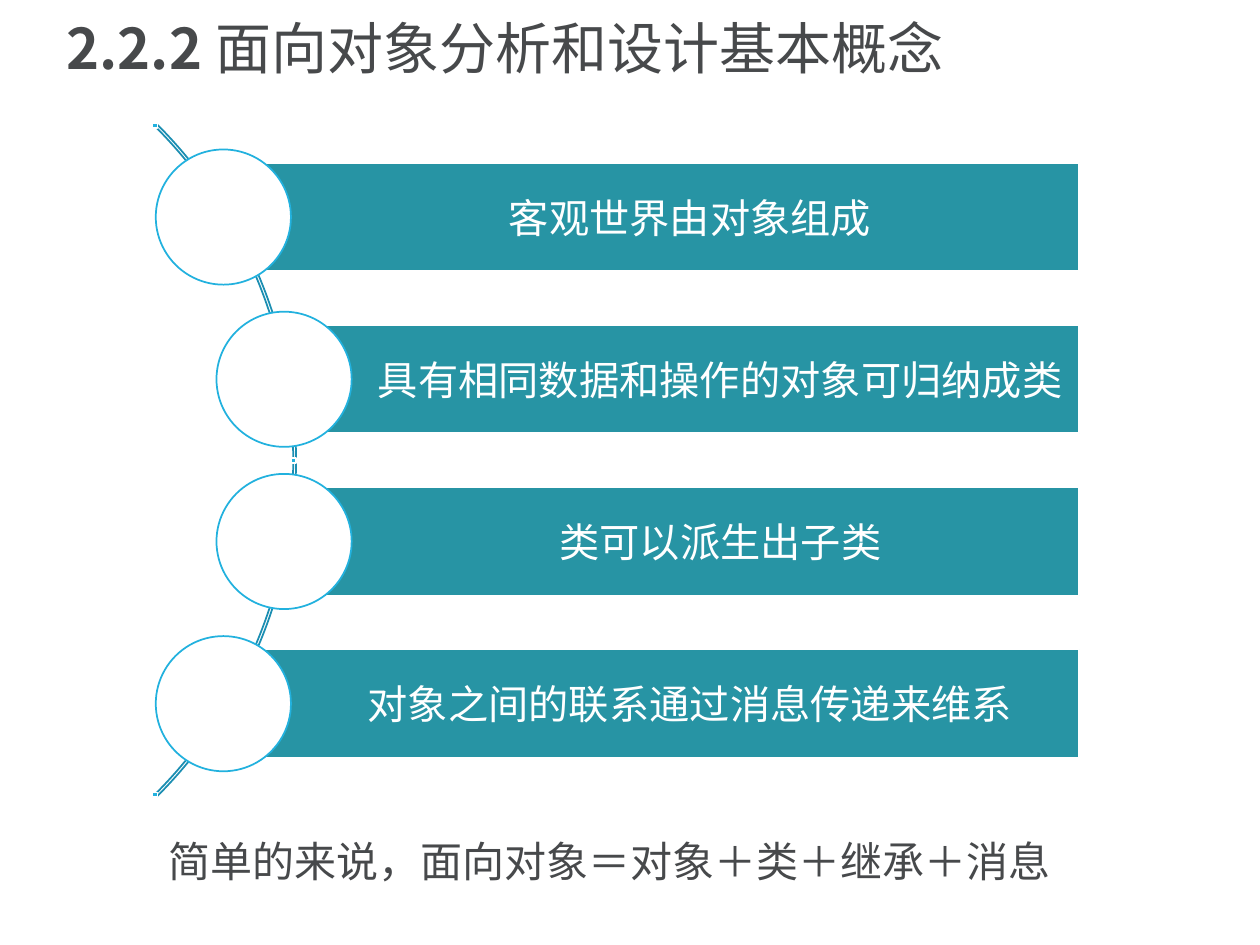
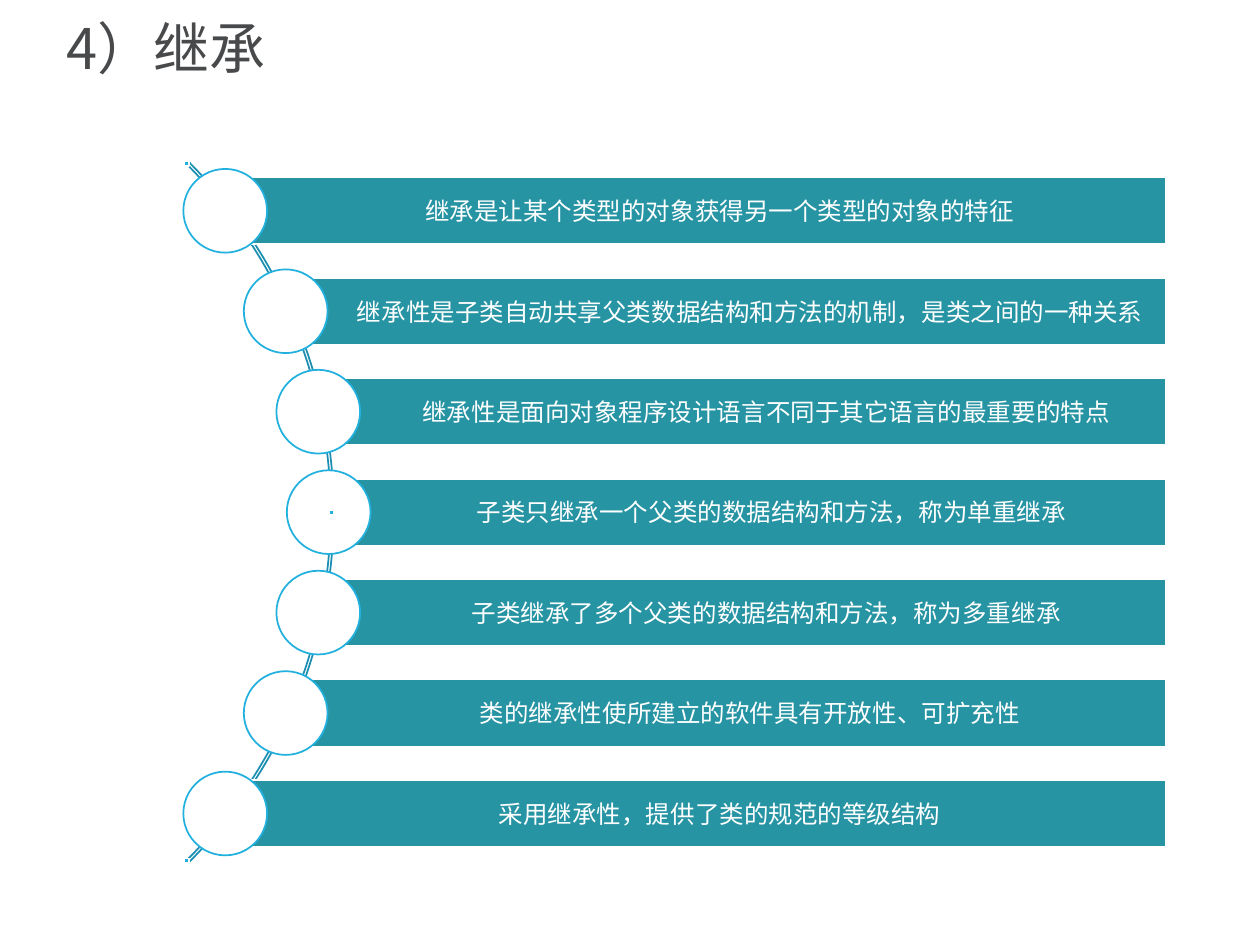
from math import sqrt

from pptx import Presentation
from pptx.dml.color import RGBColor
from pptx.enum.shapes import MSO_SHAPE
from pptx.enum.text import MSO_ANCHOR, MSO_AUTO_SIZE, PP_ALIGN
from pptx.util import Cm, Pt

COLORS = {
    "text": "47494B",
    "bar": "2794A4",
    "arc": "1B8EB2",
    "accent": "22B1DE",
    "white": "FFFFFF",
}
TITLE_FONT = "Noto Sans CJK SC"
CAPTION_FONT = "DejaVu Sans"
BAR_FONT = "Calibri"
TITLE_BOX = (1.09, 0.15, 22.99, 1.78)
MARKER_SIZE = 0.1


def color(name):
    """Return the named colour."""
    return RGBColor.from_string(COLORS[name])


def set_font(paragraph, name, size, color_name):
    """Set the typeface, size and colour of a whole paragraph."""
    paragraph.font.name = name
    paragraph.font.size = Pt(size)
    paragraph.font.color.rgb = color(color_name)


def add_centred_shape(slide, kind, centre_x, centre_y, width, height, fill, line):
    """Add a flat preset shape around a centre point; fill None leaves it open."""
    shape = slide.shapes.add_shape(
        kind, Cm(centre_x - width / 2), Cm(centre_y - height / 2), Cm(width), Cm(height)
    )
    shape.shadow.inherit = False
    if fill:
        shape.fill.solid()
        shape.fill.fore_color.rgb = color(fill)
    else:
        shape.fill.background()
    shape.line.color.rgb = color(line)
    shape.line.width = Pt(1)
    return shape


def add_title_slide(presentation, title_runs):
    """Add a title-only slide; title_runs holds (text, bold) pairs."""
    slide = presentation.slides.add_slide(presentation.slide_layouts[5])
    title = slide.shapes.title
    title.left, title.top, title.width, title.height = map(Cm, TITLE_BOX)
    frame = title.text_frame
    frame.auto_size = MSO_AUTO_SIZE.NONE
    frame.vertical_anchor = MSO_ANCHOR.MIDDLE
    paragraph = frame.paragraphs[0]
    paragraph.alignment = PP_ALIGN.LEFT
    paragraph.line_spacing = 0.9
    set_font(paragraph, TITLE_FONT, 32, "text")
    for text, bold in title_runs:
        run = paragraph.add_run()
        run.text = text
        run.font.bold = bold
    return slide


def add_bar(slide, left, right, centre_y, height, text, size):
    """Add one bar with centred text that clears the circle at its left end."""
    bar = add_centred_shape(
        slide, MSO_SHAPE.RECTANGLE, (left + right) / 2, centre_y,
        right - left, height, "bar", "white",
    )
    frame = bar.text_frame
    frame.word_wrap = True
    frame.vertical_anchor = MSO_ANCHOR.MIDDLE
    frame.margin_left = Cm(0.79 * height)
    frame.margin_top = frame.margin_right = frame.margin_bottom = Cm(0.07 * height)
    paragraph = frame.paragraphs[0]
    paragraph.text = text
    paragraph.alignment = PP_ALIGN.CENTER
    set_font(paragraph, BAR_FONT, size, "white")


def add_curved_list(slide, box, bar_height, size, items):
    """Add bars whose circles follow a quarter arc spanning the box height."""
    left, top, width, height = box
    radius = height / sqrt(2)
    centre_x, centre_y = left - height / 2, top + height / 2
    arc = add_centred_shape(
        slide, MSO_SHAPE.BLOCK_ARC, centre_x, centre_y,
        2 * radius, 2 * radius, None, "arc",
    )
    for index, value in enumerate((189, 27, 0.003)):
        arc.adjustments[index] = value

    circle_size = 1.25 * bar_height
    for index, text in enumerate(items):
        offset = (index - (len(items) - 1) / 2) * 1.5 * bar_height
        bar_left = centre_x + sqrt((radius - 0.1) ** 2 - offset ** 2)
        bar_y = centre_y + offset
        add_bar(slide, bar_left, left + width, bar_y, bar_height, text, size)
        add_centred_shape(
            slide, MSO_SHAPE.OVAL, bar_left, bar_y,
            circle_size, circle_size, "white", "accent",
        )

    marker_radius = radius - MARKER_SIZE / 2
    for direction in (-1, 0, 1):
        offset = direction * marker_radius / sqrt(2)
        add_centred_shape(
            slide, MSO_SHAPE.RECTANGLE,
            centre_x + sqrt(marker_radius ** 2 - offset ** 2), centre_y + offset,
            MARKER_SIZE, MARKER_SIZE, "accent", "white",
        )


def add_caption(slide, box, text):
    """Add the summary line below the list."""
    frame = slide.shapes.add_textbox(*map(Cm, box)).text_frame
    frame.word_wrap = True
    paragraph = frame.paragraphs[0]
    paragraph.text = text
    set_font(paragraph, CAPTION_FONT, 24, "text")


def build_concepts_slide(presentation):
    """Build the slide on the basic concepts."""
    slide = add_title_slide(
        presentation, [("2.2.2 ", True), ("面向对象分析和设计基本概念", False)]
    )
    add_caption(
        slide, (3.15, 16.71, 18.87, 1.27), "简单的来说，面向对象＝对象＋类＋继承＋消息"
    )
    add_curved_list(slide, (3.16, 2.5, 18.6, 13.56), 2.18, 23, [
        "客观世界由对象组成",
        "具有相同数据和操作的对象可归纳成类",
        "类可以派生出子类",
        "对象之间的联系通过消息传递来维系",
    ])


def build_inheritance_slide(presentation):
    """Build the slide on inheritance."""
    slide = add_title_slide(presentation, [("4）继承", False)])
    add_curved_list(slide, (3.8, 3.26, 19.71, 14.13), 1.35, 14, [
        "继承是让某个类型的对象获得另一个类型的对象的特征",
        "继承性是子类自动共享父类数据结构和方法的机制，是类之间的一种关系",
        "继承性是面向对象程序设计语言不同于其它语言的最重要的特点",
        "子类只继承一个父类的数据结构和方法，称为单重继承",
        "子类继承了多个父类的数据结构和方法，称为多重继承",
        "类的继承性使所建立的软件具有开放性、可扩充性",
        "采用继承性，提供了类的规范的等级结构",
    ])


def main():
    """Build and save the presentation."""
    presentation = Presentation()
    presentation.slide_width, presentation.slide_height = Cm(25.4), Cm(19.05)
    build_concepts_slide(presentation)
    build_inheritance_slide(presentation)
    presentation.save("out.pptx")


if __name__ == "__main__":
    main()
